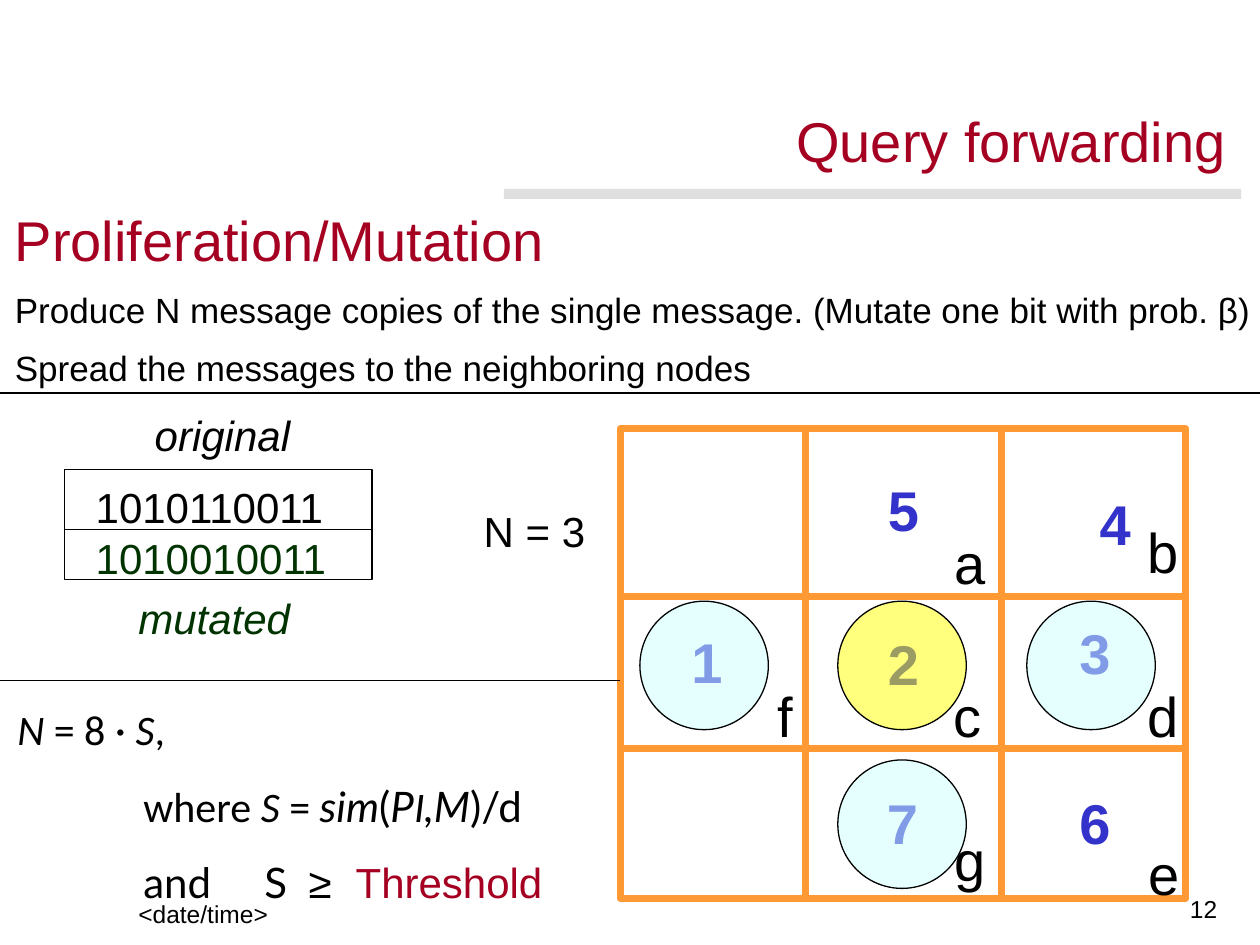
from lxml.etree import SubElement
from pptx import Presentation
from pptx.dml.color import RGBColor
from pptx.enum.shapes import MSO_CONNECTOR as Connector, MSO_SHAPE as Shape
from pptx.enum.text import MSO_ANCHOR as Anchor, MSO_AUTO_SIZE as AutoSize, PP_ALIGN as Align
from pptx.oxml.ns import qn
from pptx.util import Cm, Pt

COLORS = {
    "black": "000000", "red": "A50021", "green": "003300", "blue": "3333CC",
    "orange": "FF9933", "gray": "C0C0C0", "yellow": "FFFF00", "cyan": "CCFFFF",
}


class SlideBuilder:
    """Draws styled elements, measured in centimetres, on one slide."""

    def __init__(self, slide, font="Arial"):
        self.slide = slide
        self.font = font

    def color(self, name):
        return RGBColor.from_string(COLORS[name])

    def format_run(self, run, size, color="black", bold=False, italic=False, font=None):
        run.font.name = font or self.font
        run.font.size = Pt(size)
        run.font.bold = bold
        run.font.italic = italic
        run.font.color.rgb = self.color(color)

    def prepare_frame(self, frame, wrap, anchor=Anchor.TOP, insets=True):
        frame.word_wrap = wrap
        frame.auto_size = AutoSize.NONE
        frame.vertical_anchor = anchor
        frame.margin_left = frame.margin_right = Cm(0.25 if insets else 0)
        frame.margin_top = frame.margin_bottom = Cm(0.13 if insets else 0)

    def title(self, text, left, top, width, height):
        shape = self.slide.shapes.title
        shape.left, shape.top, shape.width, shape.height = map(Cm, (left, top, width, height))
        frame = shape.text_frame
        frame.text = text
        self.prepare_frame(frame, False, insets=False)
        paragraph = frame.paragraphs[0]
        paragraph.alignment = Align.LEFT
        paragraph.line_spacing = Pt(33.2)
        self.format_run(paragraph.runs[0], 32, "red")

    def text(self, lines, left, top, width, height, size=24, colors=("black",), wrap=False,
             bold=False, italic=False, align=Align.LEFT, anchor=Anchor.TOP):
        box = self.slide.shapes.add_textbox(*map(Cm, (left, top, width, height)))
        frame = box.text_frame
        self.prepare_frame(frame, wrap, anchor)
        frame.text = lines
        for paragraph, color in zip(frame.paragraphs, colors):
            paragraph.alignment = align
            self.format_run(paragraph.runs[0], size, color, bold, italic)

    def body(self, lines, left, top, width, height):
        box = self.slide.shapes.add_textbox(*map(Cm, (left, top, width, height)))
        frame = box.text_frame
        self.prepare_frame(frame, True, insets=False)
        frame.text = "\n".join(text for text, _, _ in lines)
        for paragraph, (_, size, color) in zip(frame.paragraphs, lines):
            paragraph.line_spacing = Pt(33.2)
            self.format_run(paragraph.runs[0], size, color)

    def formula(self, lines, tab_stops, left, top, width, height):
        box = self.slide.shapes.add_textbox(*map(Cm, (left, top, width, height)))
        frame = box.text_frame
        self.prepare_frame(frame, True)
        for index, parts in enumerate(lines):
            paragraph = frame.add_paragraph() if index else frame.paragraphs[0]
            if index:
                paragraph.space_before = Pt(15)
                tabs = SubElement(paragraph._p.get_or_add_pPr(), qn("a:tabLst"))
                for stop in tab_stops:
                    SubElement(tabs, qn("a:tab"), pos=str(Cm(stop)), algn="l")
            for text, font, italic, color in parts:
                run = paragraph.add_run()
                run.text = text
                self.format_run(run, 24, color, italic=italic, font=font)

    def shape(self, kind, left, top, width, height, fill=None, opacity=100, line=None, weight=0.75):
        shape = self.slide.shapes.add_shape(kind, *map(Cm, (left, top, width, height)))
        shape.shadow.inherit = False
        if fill:
            shape.fill.solid()
            shape.fill.fore_color.rgb = self.color(fill)
            color_element = shape.fill._xPr.find(qn("a:solidFill"))[0]
            SubElement(color_element, qn("a:alpha"), val=str(opacity * 1000))
        else:
            shape.fill.background()
        if line:
            shape.line.color.rgb = self.color(line)
            shape.line.width = Pt(weight)
        else:
            shape.line.fill.background()
        return shape

    def line(self, x1, y1, x2, y2, color="black", weight=0.75):
        connector = self.slide.shapes.add_connector(
            Connector.STRAIGHT, *map(Cm, (x1, y1, x2, y2)))
        connector.line.color.rgb = self.color(color)
        connector.line.width = Pt(weight)
        SubElement(connector._element.spPr, qn("a:effectLst"))


def draw_grid(builder):
    left, top, right, bottom = 12.5, 8.64, 23.9, 18.11
    builder.shape(Shape.RECTANGLE, left, top, right - left, bottom - top,
                  line="orange", weight=4)
    for x in (20.18, 16.24):
        builder.line(x, bottom, x, top, "orange", 4)
    for y in (15.08, 12.03):
        builder.line(right, y, left, y, "orange", 4)
    node_letters = [
        ("f", 15.42, 13.61, 0.81), ("a", 19, 10.52, 1.14), ("b", 22.89, 10.31, 1.14),
        ("c", 18.97, 13.61, 1.07), ("d", 22.89, 13.61, 1.14), ("g", 19, 16.51, 1.14),
        ("e", 22.91, 16.79, 1.14),
    ]
    for letter, x, y, width in node_letters:
        builder.text(letter, x, y, width, 1.63, size=32)
    node_numbers = [
        ("1", 13.69, 12.52), ("4", 21.92, 9.73), ("5", 17.65, 9.45), ("7", 17.63, 15.77),
        ("3", 21.51, 12.34), ("2", 17.65, 12.57), ("6", 21.51, 15.77),
    ]
    for number, x, y in node_numbers:
        builder.text(number, x, y, 1.14, 1.63, size=32, colors=("blue",), bold=True)
    circles = [("yellow", 16.89, 12.12), ("cyan", 16.89, 15.32),
               ("cyan", 12.9, 12.12), ("cyan", 20.7, 12.12)]
    for fill, x, y in circles:
        builder.shape(Shape.OVAL, x, y, 2.59, 2.59, fill, 51, "black")


def draw_messages(builder):
    builder.line(1.3, 10.67, 7.5, 10.67)
    builder.shape(Shape.RECTANGLE, 1.3, 9.47, 6.2, 2.21, line="black")
    builder.text("1010110011\n1010010011", 1.68, 9.58, 5.21, 2.29, colors=("black", "green"))
    builder.text("original", 2.87, 8.13, 3.23, 1.27, italic=True)
    builder.text("mutated", 2.54, 11.81, 3.56, 1.27, colors=("green",), italic=True)
    builder.text("N = 3", 9.5, 10.06, 2.54, 1.27)


def draw_formula(builder):
    lines = [
        [("N ", "Calibri", True, "black"), ("= 8 ", "Calibri", False, "black"),
         ("· ", "Lato", True, "black"), ("S", "Calibri", True, "black"),
         (",", "Calibri", False, "black")],
        [("\twhere ", "Calibri", False, "black"), ("S ", "Calibri", True, "black"),
         ("= ", "Calibri", False, "black"), ("sim", "Lato", True, "black"),
         ("(", "Lato", False, "black"), ("P", "Lato", True, "black"),
         ("I", "Calibri", True, "black"), (",M", "Lato", True, "black"),
         (")/d", "Lato", False, "black")],
        [("\tand\tS\t", "Lato", False, "black"), ("≥\t", "Arial", False, "black"),
         ("Threshold", "Arial", False, "red")],
    ]
    builder.formula(lines, (2.54, 4.98, 5.87, 6.82), 0.1, 14.05, 12.7, 4.37)


def main():
    presentation = Presentation()
    presentation.slide_width, presentation.slide_height = Cm(25.4), Cm(19.05)
    builder = SlideBuilder(presentation.slides.add_slide(presentation.slide_layouts[5]))
    builder.text("12", 19.51, 17.88, 5.28, 0.86, size=14, wrap=True,
                 align=Align.RIGHT, anchor=Anchor.BOTTOM)
    bar = builder.shape(Shape.ROUNDED_RECTANGLE, 10.16, 3.81, 14.86, 0.2, "gray", 50)
    bar.adjustments[0] = 0.02
    builder.text("<date/time>", 2.54, 17.58, 5.28, 1.27, size=14, wrap=True,
                 anchor=Anchor.BOTTOM)
    builder.title("Query forwarding", 16.05, 2.34, 9, 1.17)
    builder.body([
        ("Proliferation/Mutation", 32, "red"),
        ("Produce N message copies of the single message. (Mutate one bit with prob. β)",
         20, "black"),
        ("Spread the messages to the neighboring nodes", 20, "black"),
    ], 0.3, 4.32, 25.1, 3.53)
    draw_grid(builder)
    builder.line(0, 7.92, 25.4, 7.92)
    draw_messages(builder)
    draw_formula(builder)
    builder.line(0, 13.72, 12.5, 13.72)
    presentation.save("out.pptx")


if __name__ == "__main__":
    main()
